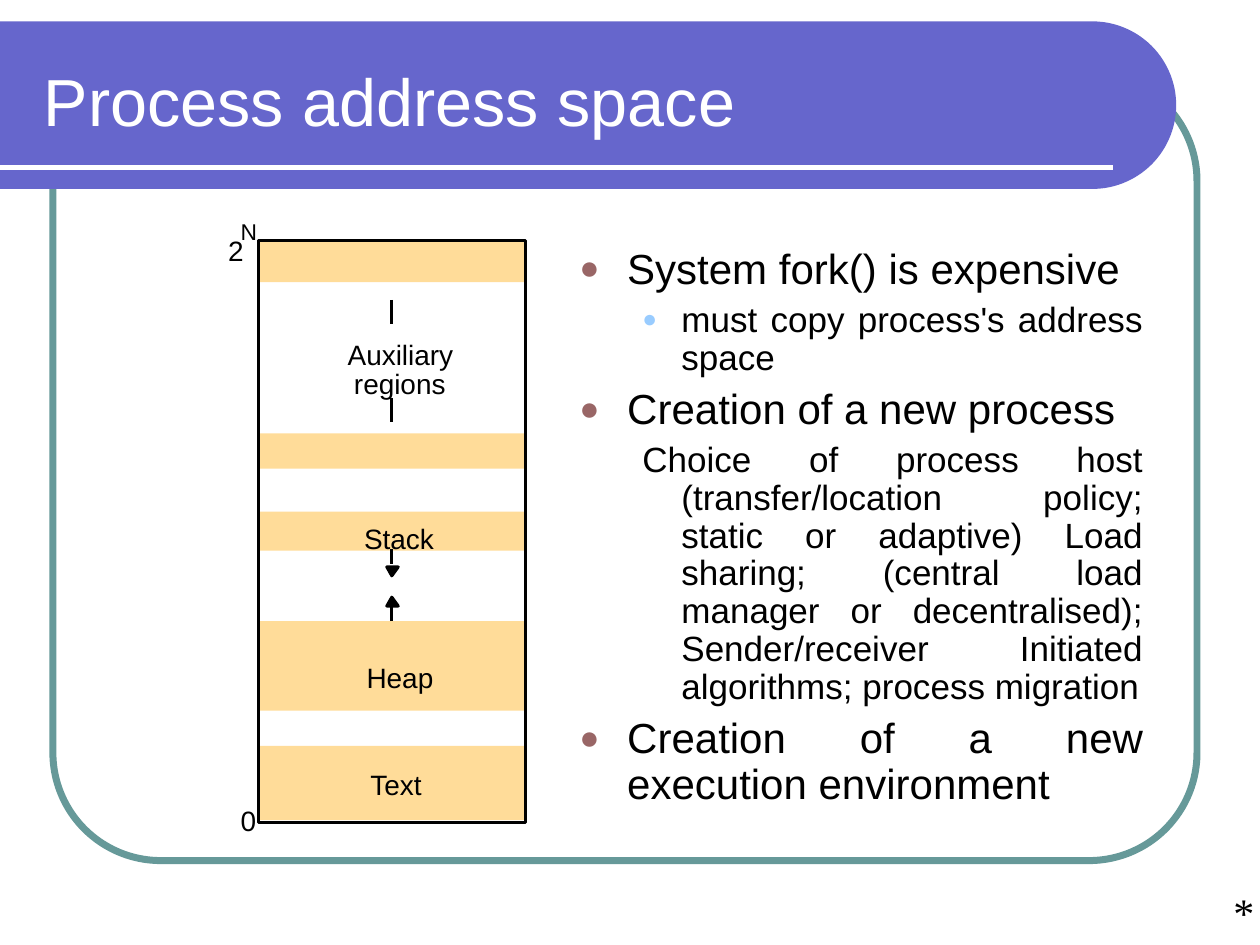
import math
from dataclasses import dataclass

from lxml import etree
from pptx import Presentation
from pptx.dml.color import RGBColor
from pptx.enum.shapes import MSO_CONNECTOR, MSO_SHAPE
from pptx.enum.text import MSO_ANCHOR, PP_ALIGN
from pptx.oxml.ns import qn
from pptx.util import Inches, Pt

RECT = MSO_SHAPE.RECTANGLE
ROUNDED = MSO_SHAPE.ROUNDED_RECTANGLE
STRAIGHT = MSO_CONNECTOR.STRAIGHT
TOP, MIDDLE = MSO_ANCHOR.TOP, MSO_ANCHOR.MIDDLE
JUSTIFY = PP_ALIGN.JUSTIFY


@dataclass(frozen=True)
class Theme:
    font: str = "Arial"
    footer_font: str = "Times New Roman"
    black: str = "000000"
    white: str = "FFFFFF"
    banner: str = "6666CC"
    frame: str = "669999"
    region: str = "FFDC99"
    bullet: str = "996666"
    sub_bullet: str = "99CCFF"
    title_size: float = 38
    body_size: float = 24
    sub_size: float = 20
    label_size: float = 16
    exponent_size: float = 13
    outline: float = 1.75


theme = Theme()


def paint(shape, fill=None, line=None, width=theme.outline):
    shape.shadow.inherit = False
    if fill:
        shape.fill.solid()
        shape.fill.fore_color.rgb = RGBColor.from_string(fill)
    else:
        shape.fill.background()
    if line:
        shape.line.color.rgb = RGBColor.from_string(line)
        shape.line.width = Pt(width)
    else:
        shape.line.fill.background()


def add_text(box, paragraphs, margins=(0.1, 0.05), wrap=True, anchor=TOP,
             color=theme.black, font=theme.font):
    """Add a text box from (text, size) pairs and return its paragraphs."""
    frame = slide.shapes.add_textbox(*map(Inches, box)).text_frame
    frame.word_wrap = wrap
    frame.vertical_anchor = anchor
    frame.margin_left = frame.margin_right = Inches(margins[0])
    frame.margin_top = frame.margin_bottom = Inches(margins[1])
    for i, (text, size) in enumerate(paragraphs):
        paragraph = frame.add_paragraph() if i else frame.paragraphs[0]
        run = paragraph.add_run()
        run.text = text
        run.font.size = Pt(size)
        run.font.name = font
        run.font.color.rgb = RGBColor.from_string(color)
    return frame.paragraphs


prs = Presentation()
prs.slide_width, prs.slide_height = Inches(10), Inches(7.5)
slide = prs.slides.add_slide(prs.slide_layouts[6])
shapes = slide.shapes

# Frame and banner with a half-round right end
frame_outline = shapes.add_shape(ROUNDED, Inches(0.42), Inches(0.58), Inches(9.08), Inches(6.25))
frame_outline.adjustments[0] = 0.137
paint(frame_outline, line=theme.frame, width=4)

banner_top, banner_bottom, arc_x = 0.17, 1.5, 8.67
radius = (banner_bottom - banner_top) / 2
arc = []
for degrees in range(-90, 91, 3):
    angle = math.radians(degrees)
    arc.append((Inches(arc_x + radius * math.cos(angle)),
                Inches(banner_top + radius + radius * math.sin(angle))))
banner = shapes.build_freeform(0, Inches(banner_top))
banner.add_line_segments(arc + [(0, Inches(banner_bottom))])
paint(banner.convert_to_shape(), fill=theme.banner)

add_text((0.25, 0.33, 8.07, 0.92), [("Process address space", theme.title_size)],
         anchor=MIDDLE, color=theme.white)

# Memory map: filled regions, then the labels
map_left, map_width, axis_x = 2.05, 2.13, 3.11
regions = [(5.92, 0.59), (4.93, 0.71), (1.91, 0.33), (3.44, 0.28), (4.06, 0.31)]
for top, height in regions:
    region = shapes.add_shape(RECT, Inches(map_left), Inches(top), Inches(map_width), Inches(height))
    paint(region, fill=theme.region)

labels = [
    ("Stack", 2.89, 4.14, 0.56),
    ("Text", 2.94, 6.09, 0.43),
    ("Heap", 2.91, 5.24, 0.53),
    ("Auxiliary", 2.76, 2.68, 0.84),
    ("regions", 2.81, 2.91, 0.73),
    ("0", 1.91, 6.38, 0.12),
    ("2", 1.81, 1.85, 0.12),
]
for label, left, top, width in labels:
    add_text((left, top, width, 0.27), [(label, theme.label_size)], margins=(0, 0), wrap=False)
add_text((1.91, 1.73, 0.13, 0.22), [("N", theme.exponent_size)], margins=(0, 0), wrap=False)

map_outline = shapes.add_shape(RECT, Inches(map_left), Inches(1.91), Inches(2.12), Inches(4.62))
paint(map_outline, line=theme.black)

# Growth arrows: heads, then all straight lines
for base_y, tip_y in [(4.81, 4.74), (4.5, 4.57)]:
    head = shapes.build_freeform(Inches(axis_x - 0.04), Inches(base_y))
    head.add_line_segments([(Inches(axis_x), Inches(tip_y)),
                            (Inches(axis_x + 0.05), Inches(base_y))])
    paint(head.convert_to_shape(), fill=theme.black, line=theme.black)

lines = [(0, 1.33, 8.83, 1.33, theme.white, 3)]
for start_y, end_y in [(2.38, 2.57), (3.16, 3.35), (4.93, 4.81), (4.36, 4.48)]:
    lines.append((axis_x, start_y, axis_x, end_y, theme.black, theme.outline))
for *ends, color, width in lines:
    connector = shapes.add_connector(STRAIGHT, *map(Inches, ends))
    connector.line.color.rgb = RGBColor.from_string(color)
    connector.line.width = Pt(width)
    etree.SubElement(connector.element.spPr, qn("a:effectLst"))

add_text((9.69, 6.99, 0.31, 0.5), [("*", theme.body_size)], font=theme.footer_font)

# Points: (text, level, bullet colour)
points = [
    ("System fork() is expensive", 0, theme.bullet),
    ("must copy process's address space", 1, theme.sub_bullet),
    ("Creation of a new process", 0, theme.bullet),
    ("Choice of process host (transfer/location policy; static or adaptive) "
     "Load sharing; (central load manager or decentralised); "
     "Sender/receiver Initiated algorithms; process migration", 1, None),
    ("Creation of a new execution environment", 0, theme.bullet),
]
sizes = (theme.body_size, theme.sub_size)
indents = ((0.38, -0.38), (0.81, -0.31))
bullet_percents = (80, 70)
paragraphs = add_text((4.5, 1.92, 4.67, 4.83), [(text, sizes[level]) for text, level, _ in points])
for i, (paragraph, (_, level, bullet_color)) in enumerate(zip(paragraphs, points)):
    paragraph.level = level
    paragraph.alignment = JUSTIFY
    paragraph.line_spacing = 0.9
    if i:
        paragraph.space_before = Pt(6 - level)
    properties = paragraph._p.get_or_add_pPr()
    margin, indent = indents[level]
    properties.set("marL", str(Inches(margin)))
    properties.set("indent", str(Inches(indent)))
    if bullet_color:
        color_holder = etree.SubElement(properties, qn("a:buClr"))
        etree.SubElement(color_holder, qn("a:srgbClr"), val=bullet_color)
        etree.SubElement(properties, qn("a:buSzPct"), val=str(bullet_percents[level] * 1000))
        etree.SubElement(properties, qn("a:buFont"), typeface=theme.font)
        etree.SubElement(properties, qn("a:buChar"), char="●")
    else:
        etree.SubElement(properties, qn("a:buNone"))

prs.save("out.pptx")
